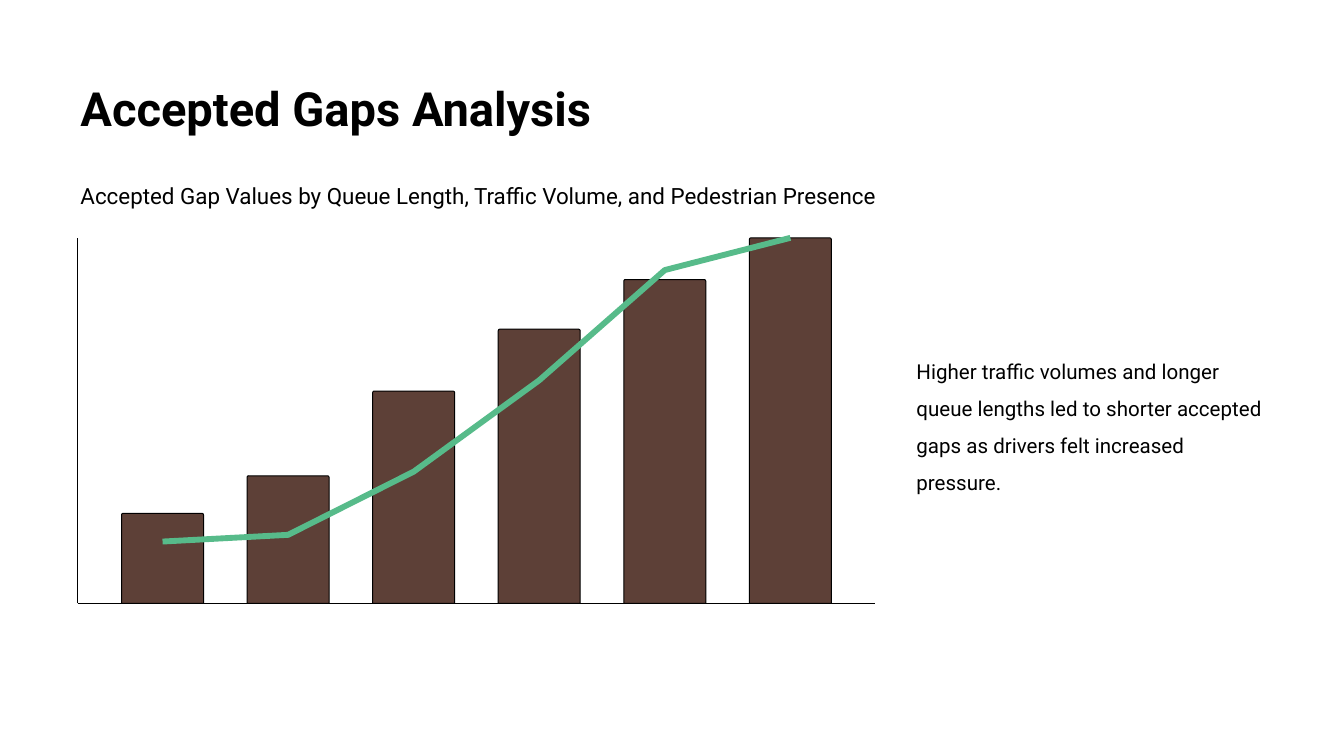
import pptx
import pptx.util
import pptx.dml.color
import pptx.enum.shapes
import pptx.enum.text
import pptx.oxml

Inches = pptx.util.Inches
Pt = pptx.util.Pt
MSO = pptx.enum.shapes.MSO_SHAPE

COLORS = {"ink": "000000", "bar": "5D4037", "trend": "57BB8A"}
BARS = [0.67, 0.95, 1.58, 2.04, 2.41, 2.72]
TREND = [0.46, 0.51, 0.98, 1.66, 2.48, 2.72]


def color(name):
    return pptx.dml.color.RGBColor.from_string(COLORS[name])


def add_text(slide, box, text, size, bold=False, lead=None, after=0):
    shape = slide.shapes.add_textbox(*map(Inches, box))
    frame = shape.text_frame
    frame.text = text
    frame.word_wrap = True
    frame.vertical_anchor = pptx.enum.text.MSO_ANCHOR.MIDDLE
    frame.margin_left = frame.margin_right = Inches(0.1)
    frame.margin_top = frame.margin_bottom = Inches(0.1)
    para = frame.paragraphs[0]
    para.line_spacing = lead
    para.space_after = Pt(after)
    font = para.runs[0].font
    font.name = "Roboto"
    font.size = Pt(size)
    font.bold = bold
    font.color.rgb = color("ink")


def set_line(shape, name, width):
    shape.line.color.rgb = color(name)
    shape.line.width = Pt(width)


def add_axis(slide, start, end):
    axis = slide.shapes.add_connector(
        pptx.enum.shapes.MSO_CONNECTOR.STRAIGHT,
        *map(Inches, start + end))
    set_line(axis, "ink", 0.55)
    axis._element.spPr.append(pptx.oxml.parse_xml(
        '<a:effectLst xmlns:a='
        '"http://schemas.openxmlformats.org/drawingml/2006/main"/>'))


def add_graph(slide, box):
    left, top, width, height = box
    base = top + height
    wide = 0.61
    gap = (width - wide * len(BARS)) / (len(BARS) + 1)
    add_axis(slide, (left, base), (left + width, base))
    add_axis(slide, (left, base), (left, top))

    points = []
    for i, (tall, level) in enumerate(zip(BARS, TREND)):
        x = left + gap + i * (wide + gap)
        bar = slide.shapes.add_shape(
            MSO.ROUND_2_SAME_RECTANGLE,
            *map(Inches, (x, base - tall, wide, tall)))
        bar.adjustments[0] = 0.02
        bar.shadow.inherit = False
        bar.fill.solid()
        bar.fill.fore_color.rgb = color("bar")
        set_line(bar, "ink", 0.55)
        points.append((Inches(x + wide / 2), Inches(base - level)))

    path = slide.shapes.build_freeform(*points[0])
    path.add_line_segments(points[1:], close=False)
    trend = path.convert_to_shape()
    trend.shadow.inherit = False
    trend.fill.background()
    set_line(trend, "trend", 3.14)


def add_head(slide, box):
    left, top, width, height = box
    add_text(slide, (left, top, width, 0.63),
             "Accepted Gaps Analysis", 25.2, bold=True)
    add_text(slide, (left, top + 0.72, 6.68, height - 0.72),
             "Accepted Gap Values by Queue Length, Traffic Volume, "
             "and Pedestrian Presence", 12, after=12)


def add_note(slide, box):
    add_text(slide, box,
             "Higher traffic volumes and longer queue lengths led to shorter "
             "accepted gaps as drivers felt increased pressure.",
             11, lead=1.5, after=10)


def main():
    deck = pptx.Presentation()
    deck.slide_width = Inches(10)
    deck.slide_height = deck.slide_width * 9 // 16
    slide = deck.slides.add_slide(deck.slide_layouts[6])
    add_note(slide, (6.72, 1.77, 2.78, 2.72))
    add_graph(slide, (0.58, 1.77, 5.93, 2.72))
    add_head(slide, (0.5, 0.49, 9, 1.21))
    deck.save("out.pptx")


if __name__ == "__main__":
    main()
